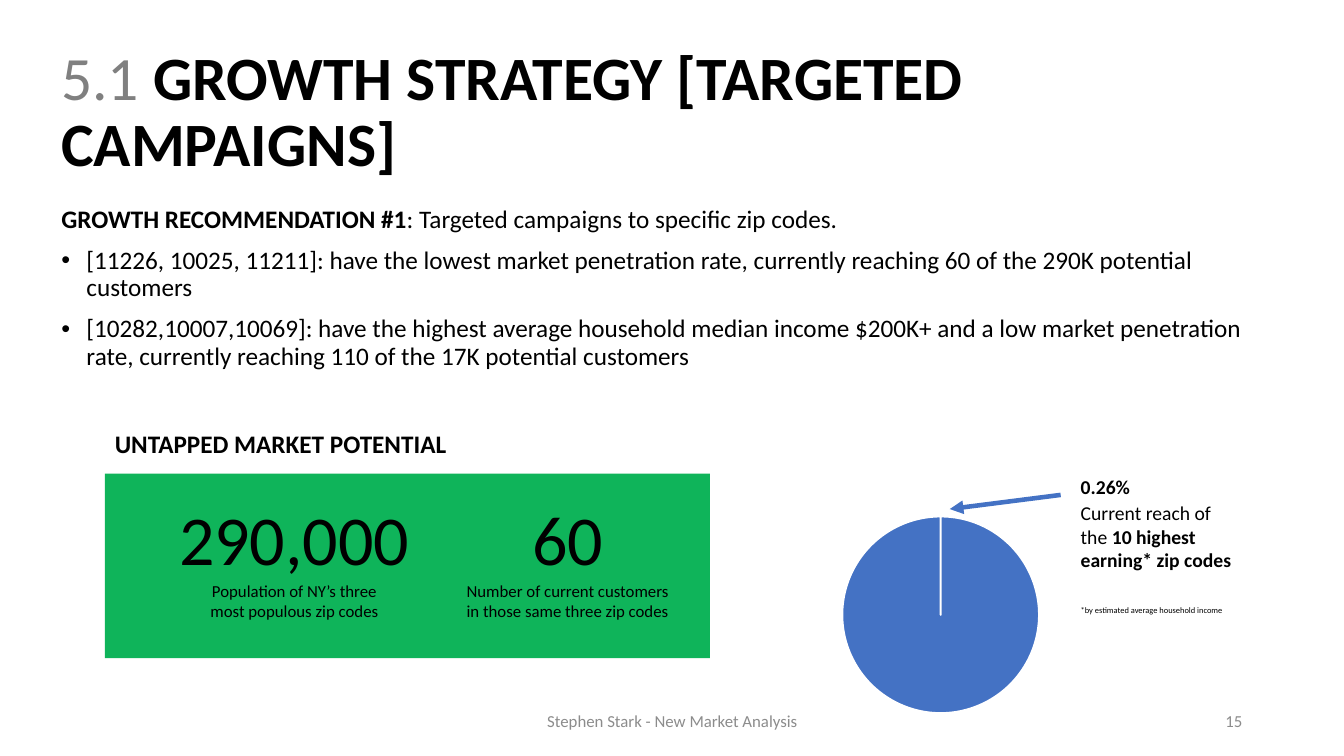
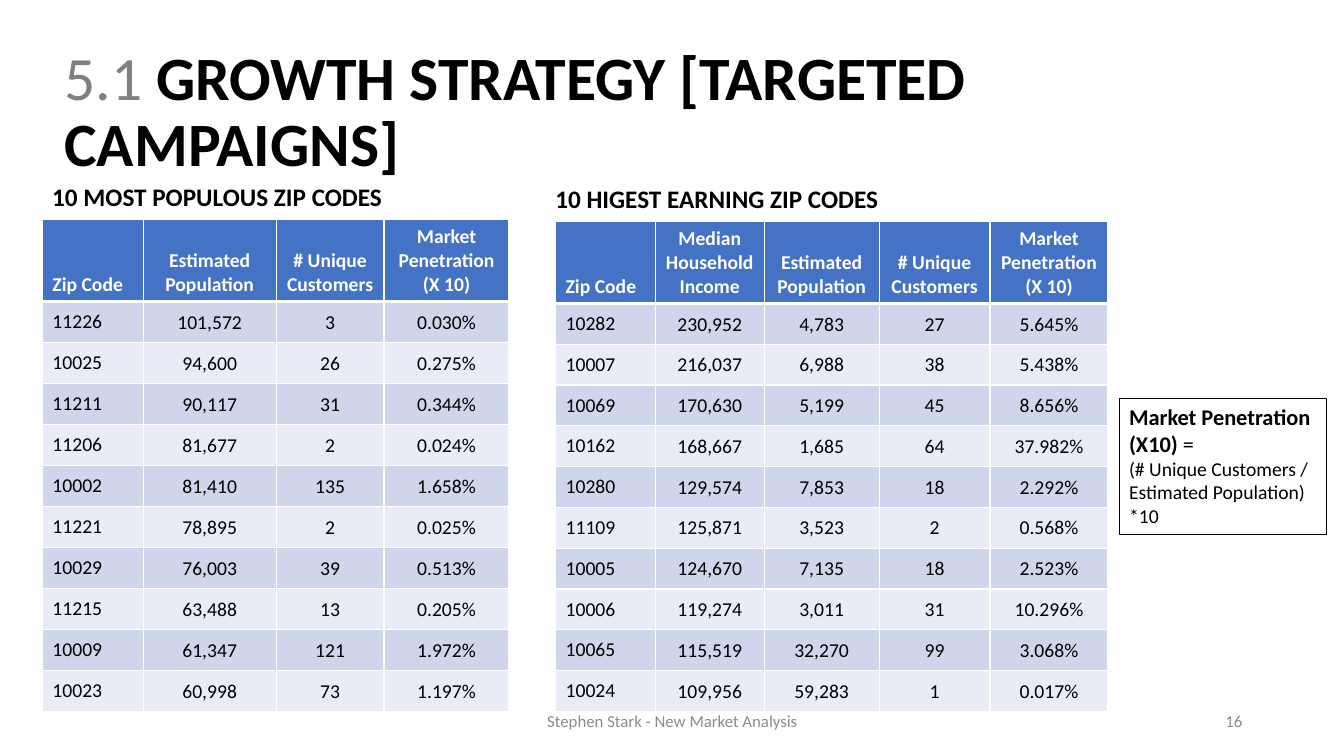
from lxml import etree
from pptx import Presentation
from pptx.chart.data import CategoryChartData
from pptx.dml.color import RGBColor
from pptx.enum.chart import XL_CHART_TYPE
from pptx.enum.shapes import MSO_CONNECTOR, MSO_SHAPE
from pptx.enum.text import MSO_ANCHOR, PP_ALIGN
from pptx.oxml import parse_xml
from pptx.oxml.ns import nsdecls, qn
from pptx.util import Inches, Pt

PIE = XL_CHART_TYPE.PIE
STRAIGHT = MSO_CONNECTOR.STRAIGHT
RECTANGLE = MSO_SHAPE.RECTANGLE
TOP, MIDDLE, BOTTOM = MSO_ANCHOR.TOP, MSO_ANCHOR.MIDDLE, MSO_ANCHOR.BOTTOM
LEFT, CENTER, RIGHT = PP_ALIGN.LEFT, PP_ALIGN.CENTER, PP_ALIGN.RIGHT

BLACK = RGBColor(0x00, 0x00, 0x00)
WHITE = RGBColor(0xFF, 0xFF, 0xFF)
GRAY = RGBColor(0x80, 0x80, 0x80)
FOOTER_GRAY = RGBColor(0x8C, 0x8C, 0x8C)
BLUE = RGBColor(0x44, 0x72, 0xC4)
ORANGE = RGBColor(0xED, 0x7D, 0x31)
GREEN = RGBColor(0x00, 0xB0, 0x50)
BANDS = (RGBColor(0xCF, 0xD5, 0xEA), RGBColor(0xE9, 0xEB, 0xF5))

FONT = "Calibri"
BODY = {"line_spacing": 0.9, "space_before": Pt(10)}
COMPACT = {"margin_left": Inches(0.01), "margin_right": Inches(0.01),
           "margin_top": Inches(0.01), "margin_bottom": 0}
HEADER_SIDES = {"margin_left": Inches(0.05), "margin_right": Inches(0.05)}
HEADER_HEIGHT = 0.81

POPULOUS = [
    ("Zip Code", "Estimated\nPopulation", "# Unique Customers", "Market Penetration\n(X 10)"),
    ("11226", "101,572", "3", "0.030%"),
    ("10025", "94,600", "26", "0.275%"),
    ("11211", "90,117", "31", "0.344%"),
    ("11206", "81,677", "2", "0.024%"),
    ("10002", "81,410", "135", "1.658%"),
    ("11221", "78,895", "2", "0.025%"),
    ("10029", "76,003", "39", "0.513%"),
    ("11215", "63,488", "13", "0.205%"),
    ("10009", "61,347", "121", "1.972%"),
    ("10023", "60,998", "73", "1.197%"),
]
EARNING = [
    ("Zip Code", "Median Household\nIncome", "Estimated Population",
     "# Unique Customers", "Market Penetration\n(X 10)"),
    ("10282", "230,952", "4,783", "27", "5.645%"),
    ("10007", "216,037", "6,988", "38", "5.438%"),
    ("10069", "170,630", "5,199", "45", "8.656%"),
    ("10162", "168,667", "1,685", "64", "37.982%"),
    ("10280", "129,574", "7,853", "18", "2.292%"),
    ("11109", "125,871", "3,523", "2", "0.568%"),
    ("10005", "124,670", "7,135", "18", "2.523%"),
    ("10006", "119,274", "3,011", "31", "10.296%"),
    ("10065", "115,519", "32,270", "99", "3.068%"),
    ("10024", "109,956", "59,283", "1", "0.017%"),
]


def apply(target, values):
    for name, value in values.items():
        setattr(target, name, value)


def style_font(font, size, color=BLACK, bold=False):
    apply(font, {"name": FONT, "size": Pt(size), "bold": bold})
    font.color.rgb = color


def write(frame, paragraphs):
    for index, (layout, runs) in enumerate(paragraphs):
        paragraph = frame.paragraphs[0] if index == 0 else frame.add_paragraph()
        apply(paragraph, layout)
        for text, *style in runs:
            run = paragraph.add_run()
            run.text = text
            style_font(run.font, *style)


def add_text(slide, box, paragraphs, anchor=TOP):
    area = slide.shapes.add_textbox(*map(Inches, box))
    apply(area.text_frame, {"word_wrap": True, "vertical_anchor": anchor})
    write(area.text_frame, paragraphs)
    return area


def add_title(slide, left):
    add_text(slide, (left, 0.45, 12.3, 1.35), [
        ({"line_spacing": 0.9}, [
            ("5.1", 44, GRAY),
            (" GROWTH STRATEGY [TARGETED CAMPAIGNS]", 44, BLACK, True)])], MIDDLE)


def add_footer(slide, number):
    for left, width, alignment, text in (
            (4.42, 4.5, CENTER, "Stephen Stark - New Market Analysis"),
            (9.42, 3, RIGHT, number)):
        add_text(slide, (left, 6.95, width, 0.4),
                 [({"alignment": alignment}, [(text, 12, FOOTER_GRAY)])], MIDDLE)


def add_heading(slide, left, top, text):
    add_text(slide, (left, top, 3.6, 0.4), [({}, [(text, 18, BLACK, True)])])


def add_recommendation(slide, box):
    points = (
        "[11226, 10025, 11211]: have the lowest market penetration rate, "
        "currently reaching 60 of the 290K potential customers",
        "[10282,10007,10069]: have the highest average household median income $200K+ "
        "and a low market penetration rate, currently reaching 110 of the 17K potential customers",
    )
    lead = [("GROWTH RECOMMENDATION #1", 18, BLACK, True),
            (": Targeted campaigns to specific zip codes.", 18)]
    area = add_text(slide, box, [(BODY, lead)] + [(BODY, [(point, 18)]) for point in points])
    for paragraph in area.text_frame.paragraphs[1:]:
        properties = paragraph._p.get_or_add_pPr()
        properties.set("marL", str(Inches(0.25)))
        properties.set("indent", str(-Inches(0.25)))
        etree.SubElement(properties, qn("a:buFont")).set("typeface", "Arial")
        etree.SubElement(properties, qn("a:buChar")).set("char", "•")


def add_market_panel(slide, box):
    left, top = box[:2]
    panel = slide.shapes.add_shape(RECTANGLE, *map(Inches, box))
    panel.shadow.inherit = False
    panel.line.fill.background()
    panel.fill.solid()
    panel.fill.fore_color.rgb = GREEN
    tint = panel._element.spPr.find(qn("a:solidFill"))[0]
    etree.SubElement(tint, qn("a:alpha")).set("val", "94000")
    for center, width, figure, caption in (
            (1.88, 1.92, "290,000", "Population of NY’s three most populous zip codes"),
            (4.59, 2.28, "60", "Number of current customers in those same three zip codes")):
        for offset, part_width, height, size, text in (
                (0.17, 2.7, 0.94, 50, figure), (1.01, width, 0.5, 12, caption)):
            add_text(slide, (left + center - part_width / 2, top + offset, part_width, height),
                     [({"alignment": CENTER}, [(text, size)])])


def add_reach_pie(slide, box):
    data = CategoryChartData()
    data.categories = ["1", "2"]
    data.add_series("Series 1", (100, 0))
    chart = slide.shapes.add_chart(PIE, *map(Inches, box), data).chart
    apply(chart, {"has_legend": False, "has_title": False})
    style_font(chart.font, 10)
    plot = chart.plots[0]
    plot.vary_by_categories = True
    for index, color in enumerate((BLUE, ORANGE)):
        wedge = plot.series[0].points[index].format
        wedge.fill.solid()
        wedge.fill.fore_color.rgb = color
        wedge.line.color.rgb = WHITE
        wedge.line.width = Pt(1.5)
    area = chart._chartSpace.chart.plotArea
    for layout in area.findall(qn("c:layout")):
        area.remove(layout)
    edges = {"x": 0.09, "y": 0.06, "w": 0.82, "h": 0.88}
    values = "".join(f'<c:{edge} val="{value}"/>' for edge, value in edges.items())
    area.insert(0, parse_xml(
        f'<c:layout {nsdecls("c")}><c:manualLayout><c:layoutTarget val="inner"/>'
        f'<c:xMode val="edge"/><c:yMode val="edge"/>{values}</c:manualLayout></c:layout>'))


def add_reach(slide, box):
    left, top, width, height = box
    add_reach_pie(slide, (left, top + 0.33, 2.4, height - 0.33))
    add_text(slide, (left + 2.49, top, width - 2.49, 1.75), [
        ({}, [("0.26%", 14, BLACK, True)]),
        ({"space_before": Pt(2)}, [
            ("Current reach of the ", 14),
            ("10 highest earning* zip codes", 14, BLACK, True)]),
        ({"space_before": Pt(24)}, [("*by estimated average household income", 6)])])
    arrow = slide.shapes.add_connector(STRAIGHT, *map(Inches, (
        left + 2.39, top + 0.25, left + 1.29, top + 0.39)))
    arrow.line.color.rgb = BLUE
    arrow.line.width = Pt(3.25)
    etree.SubElement(arrow.line._get_or_add_ln(), qn("a:tailEnd")).set("type", "triangle")
    etree.SubElement(arrow._element.spPr, qn("a:effectLst"))


def border_cell(cell, bottom):
    properties = cell._tc.get_or_add_tcPr()
    for index, (side, width) in enumerate((("L", 1), ("R", 1), ("T", 1), ("B", bottom))):
        properties.insert(index, parse_xml(
            f'<a:ln{side} {nsdecls("a")} w="{Pt(width)}"><a:solidFill>'
            f'<a:srgbClr val="{WHITE}"/></a:solidFill></a:ln{side}>'))


def add_zip_table(slide, box, widths, rows):
    table = slide.shapes.add_table(len(rows), len(widths), *map(Inches, box)).table
    for column, width in zip(table.columns, widths):
        column.width = Inches(width)
    row_height = (box[3] - HEADER_HEIGHT) / (len(rows) - 1)
    for row, values in enumerate(rows):
        header = row == 0
        table.rows[row].height = Inches(HEADER_HEIGHT if header else row_height)
        for column, value in enumerate(values):
            cell = table.cell(row, column)
            cell.vertical_anchor = BOTTOM if header else MIDDLE
            if column:
                apply(cell, HEADER_SIDES if header else COMPACT)
            cell.fill.solid()
            cell.fill.fore_color.rgb = BLUE if header else BANDS[(row - 1) % 2]
            border_cell(cell, 3 if header else 1)
            layout = {"alignment": CENTER if column else LEFT}
            color = WHITE if header else BLACK
            write(cell.text_frame, [(layout, [(line, 14, color, header)])
                                    for line in value.split("\n")])


def add_formula(slide, box):
    formula = add_text(slide, box, [
        ({}, [("Market Penetration (X10) ", 16, BLACK, True), ("=", 16)]),
        ({}, [("(# Unique Customers / Estimated Population) *10", 14)])])
    formula.line.color.rgb = BLACK
    formula.line.width = Pt(0.75)


def build_recommendation(slide):
    add_title(slide, 0.51)
    add_recommendation(slide, (0.51, 2, 12.3, 2.1))
    add_heading(slide, 1.04, 4.2, "UNTAPPED MARKET POTENTIAL")
    add_market_panel(slide, (1.04, 4.7, 6, 1.83))
    add_reach(slide, (8.13, 4.66, 4.25, 2.55))
    add_footer(slide, "15")


def build_zip_codes(slide):
    add_title(slide, 0.54)
    add_heading(slide, 0.42, 1.75, "10 MOST POPULOUS ZIP CODES")
    add_zip_table(slide, (0.42, 2.18, 4.63, 4.88), (1, 1.32, 1.07, 1.24), POPULOUS)
    add_heading(slide, 5.41, 1.77, "10 HIGEST EARNING ZIP CODES")
    add_zip_table(slide, (5.51, 2.2, 5.48, 4.86), (0.99, 1.08, 1.14, 1.1, 1.17), EARNING)
    add_formula(slide, (11.1, 3.95, 2.06, 1.35))
    add_footer(slide, "16")


def main():
    deck = Presentation()
    apply(deck, {"slide_width": Inches(13.33), "slide_height": Inches(7.5)})
    for build in (build_recommendation, build_zip_codes):
        build(deck.slides.add_slide(deck.slide_layouts[6]))
    deck.save("out.pptx")


if __name__ == "__main__":
    main()
